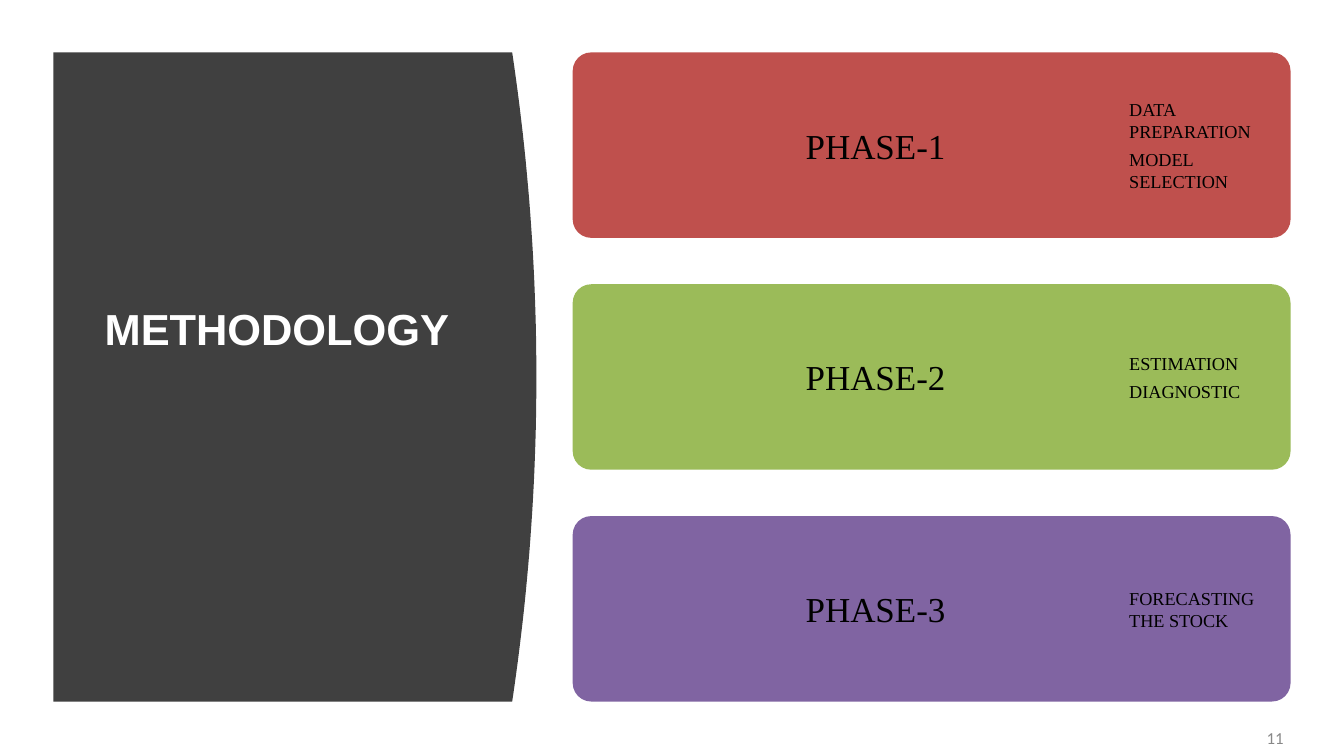
from lxml import etree
from pptx import Presentation
from pptx import util as u
from pptx.dml.color import RGBColor
from pptx.enum import shapes, text

WIDE, HIGH = 13.33, 7.5
TOP, TALL = 0.52, 6.44
CARD_X, CARD_W, CARD_H = 5.68, 7.12, 1.84
PITCH = (TALL - CARD_H) / 2
SERIF = "Times New Roman"
PHASES = [
    ("PHASE-1", "BF504D", ["DATA PREPARATION", "MODEL SELECTION"]),
    ("PHASE-2", "9BBB59", ["ESTIMATION", "DIAGNOSTIC"]),
    ("PHASE-3", "8064A2", ["FORECASTING THE STOCK"]),
]


def color(code):
    return RGBColor.from_string(code)


def paint(shape, code):
    shape.shadow.inherit = False
    shape.fill.solid()
    shape.fill.fore_color.rgb = color(code)
    shape.line.fill.background()


def label(slide, box, lines, size, font, code, pad=(0.1, 0.05, 0.1, 0.05),
          bold=False, align=text.PP_ALIGN.LEFT, lead=1.0, gap=0):
    frame = slide.shapes.add_textbox(*map(u.Inches, box)).text_frame
    frame.word_wrap = True
    frame.vertical_anchor = text.MSO_ANCHOR.MIDDLE
    (frame.margin_left, frame.margin_top,
     frame.margin_right, frame.margin_bottom) = map(u.Inches, pad)
    frame.text = "\n".join(lines)
    for row, para in enumerate(frame.paragraphs):
        para.alignment = align
        para.line_spacing = lead
        if row:
            para.space_before = u.Pt(gap)
        for run in para.runs:
            run.font.name = font
            run.font.size = u.Pt(size)
            run.font.bold = bold
            run.font.color.rgb = color(code)


def panel(slide, left, edge, bulge, steps=48):
    curve = []
    for step in range(steps + 1):
        part = step / steps
        curve.append((edge + bulge * (1 - (2 * part - 1) ** 2), TOP + TALL * part))
    form = slide.shapes.build_freeform(left, TOP, scale=u.Inches(1))
    form = slide.shapes.build_freeform(u.Inches(left), u.Inches(TOP))
    form.add_line_segments(
        [(u.Inches(x), u.Inches(y)) for x, y in curve + [(left, TOP + TALL)]])
    paint(form.convert_to_shape(), "404040")


def card(slide, row, name, code, tasks):
    top = TOP + row * PITCH
    box = [u.Inches(n) for n in (CARD_X, top, CARD_W, CARD_H)]
    shape = slide.shapes.add_shape(shapes.MSO_SHAPE.ROUNDED_RECTANGLE, *box)
    shape.adjustments[0] = 0.1
    paint(shape, code)
    pad = (0.19,) * 4
    label(slide, (7.8, top, 3.21, CARD_H), [name], 25, SERIF, "000000", pad)
    label(slide, (11.01, top, 1.79, CARD_H), tasks, 13, SERIF, "000000", pad, gap=4.5)


def main():
    deck = Presentation()
    deck.slide_width, deck.slide_height = u.Inches(WIDE), u.Inches(HIGH)
    slide = deck.slides.add_slide(deck.slide_layouts[6])
    label(slide, (9.72, 7.12, 3.11, 0.4), ["11"], 12, "Calibri", "888888",
          align=text.PP_ALIGN.RIGHT)
    panel(slide, 0.53, 5.08, 0.24)
    label(slide, (0.94, 1.11, 3.74, 5.24), ["METHODOLOGY"], 31, "Arial", "FFFFFF",
          pad=(0.1, 0.05, 0.1, 0.94), bold=True, lead=0.9)
    for row, phase in enumerate(PHASES):
        card(slide, row, *phase)
    deck.save("out.pptx")


if __name__ == "__main__":
    main()
